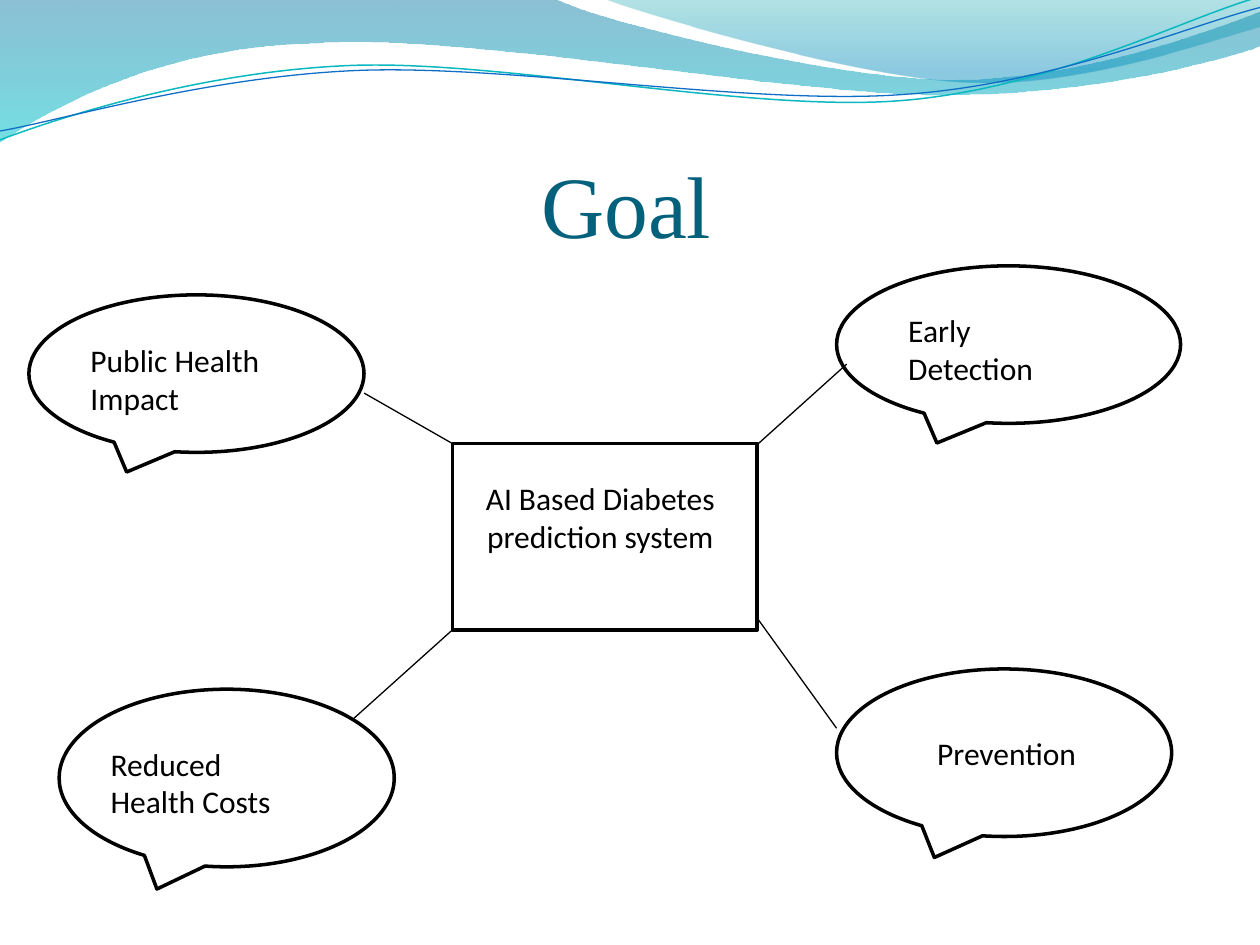
"""Builds the goal slide: a central system linked to four callouts under a wave banner."""
from dataclasses import dataclass
from math import cos, radians, sin
from typing import NamedTuple

from lxml.etree import SubElement
from pptx import Presentation
from pptx.dml.color import RGBColor
from pptx.enum.shapes import MSO_CONNECTOR, MSO_SHAPE
from pptx.enum.text import MSO_ANCHOR, MSO_AUTO_SIZE, PP_ALIGN
from pptx.oxml.ns import qn
from pptx.util import Emu, Inches, Pt

COLUMNS, ROWS = 10, 7.5
WAVE_TILT = 357.3

Point = tuple[float, float]
Segment = tuple[Point, ...]
BLACK, WHITE, TITLE_TEAL = "000000", "FFFFFF", "04617B"


class Box(NamedTuple):
    """A place on the grid, in columns and rows."""
    left: float
    top: float
    width: float
    height: float


class Stop(NamedTuple):
    """A gradient stop; position and opacity are shares of one."""
    position: float
    color: str
    opacity: float


@dataclass(frozen=True)
class Wave:
    """A banner outline: one point makes a line, three make a Bézier curve."""
    start: Point
    segments: tuple[Segment, ...]
    stops: tuple[Stop, ...] = ()
    stroke: str = ""
    weight: float = 0
    pivot: Point = (0, 0)


@dataclass(frozen=True)
class Goal:
    """A callout with its label and its link to the central system."""
    label: str
    callout: Box
    label_box: Box
    link_start: Point
    link_end: Point


WAVES = (
    Wave((0, 0), (((4.4, -0.01),), ((4.76, 0.17), (6.64, 0.63), (7.58, 0.63)),
                  ((8.53, 0.63), (9.58, 0.26), (10, 0.09)), ((10.01, 0.36),),
                  ((9.83, 0.44), (8.7, 0.76), (7.46, 0.75)),
                  ((6.22, 0.75), (3.82, 0.28), (2.57, 0.34)),
                  ((1.29, 0.36), (0.46, 0.83), (-0.01, 1.13)), ((0, 0),)),
         stops=(Stop(0, "0074A1", 0.45), Stop(1, "00C6CF", 0.55))),
    Wave((4.79, -0.01), (((5.09, 0.11), (6.82, 0.62), (7.69, 0.65)),
                         ((8.56, 0.69), (9.61, 0.32), (10, 0.21)),
                         ((10, 0),), ((4.79, -0.01),)),
         stops=(Stop(0, "00A1A9", 0.3), Stop(0.8, "008BBF", 0.45))),
    Wave((0, 1.11), (((0.48, 0.93), (1.58, 0.57), (2.77, 0.52)),
                     ((3.95, 0.47), (5.93, 0.89), (7.13, 0.8)),
                     ((8.33, 0.71), (9.38, 0.15), (9.98, -0.02))),
         stroke="0AB8BF", weight=0.85, pivot=(4.99, 0.58)),
    Wave((0, 1.04), (((0.47, 0.96), (1.64, 0.61), (2.83, 0.56)),
                     ((4.03, 0.51), (5.97, 0.84), (7.17, 0.75)),
                     ((8.36, 0.67), (9.41, 0.21), (10, 0.06))),
         stroke="0F6FC6", weight=0.75, pivot=(5, 0.59)),
)
TITLE_BOX = Box(0.47, 0.78, 9, 1.25)
SYSTEM_BOX = Box(3.59, 3.52, 2.42, 1.48)
SYSTEM_LABEL_BOX = Box(3.75, 3.75, 2.03, 1.01)
GOALS = (
    Goal("Early Detection", Box(6.64, 2.11, 2.73, 1.25),
         Box(7.11, 2.42, 1.56, 0.71), (6.02, 3.52), (6.72, 2.89)),
    Goal("Prevention", Box(6.64, 5.31, 2.66, 1.33),
         Box(7.34, 5.78, 1.33, 0.4), (6.02, 4.92), (6.64, 5.78)),
    Goal("Reduced Health Costs", Box(0.47, 5.47, 2.66, 1.41),
         Box(0.78, 5.86, 1.8, 0.71), (3.59, 5), (2.81, 5.7)),
    Goal("Public Health Impact", Box(0.23, 2.34, 2.66, 1.25),
         Box(0.62, 2.66, 1.8, 0.71), (3.59, 3.52), (2.89, 3.12)),
)


def rgb(color: str) -> RGBColor:
    """Turn a hex string into a colour."""
    return RGBColor.from_string(color)


def grid(*lengths: float) -> tuple[Emu, ...]:
    """Turn grid units, which are square, into slide lengths."""
    return tuple(Inches(length) for length in lengths)


def level(point: Point, pivot: Point) -> Point:
    """Undo the wave tilt of a point around a pivot."""
    turn = radians(-WAVE_TILT)
    across, down = point[0] - pivot[0], point[1] - pivot[1]
    return (pivot[0] + across * cos(turn) - down * sin(turn),
            pivot[1] + across * sin(turn) + down * cos(turn))


def bend(shape, segments: tuple[Segment, ...]) -> None:
    """Join the straight steps of each three-point segment into one curve."""
    steps = iter(list(shape._element.iter(qn("a:lnTo"))))
    for segment in segments:
        parts = [next(steps) for _ in segment]
        if len(parts) == 3:
            outline = parts[0].getparent()
            curve = SubElement(outline, qn("a:cubicBezTo"))
            outline.replace(parts[0], curve)
            for part in parts:
                curve.append(part[0])
            for part in parts[1:]:
                outline.remove(part)


def draw_wave(slide, wave: Wave) -> None:
    """Draw a filled wave, or a stroked and tilted one."""
    points = [wave.start, *(point for segment in wave.segments for point in segment)]
    if wave.stroke:
        points = [level(point, wave.pivot) for point in points]
    builder = slide.shapes.build_freeform(*grid(*points[0]))
    builder.add_line_segments([grid(*point) for point in points[1:]], close=bool(wave.stops))
    shape = builder.convert_to_shape()
    bend(shape, wave.segments)
    shape.shadow.inherit = False
    if wave.stroke:
        shape.rotation = WAVE_TILT
        shape.fill.background()
        shape.line.color.rgb = rgb(wave.stroke)
        shape.line.width = Pt(wave.weight)
        return
    shape.line.fill.background()
    shape.fill.gradient()
    shape.fill.gradient_angle = 270
    for gradient_stop, stop in zip(shape.fill.gradient_stops, wave.stops):
        gradient_stop.position = stop.position
        gradient_stop.color.rgb = rgb(stop.color)
    for element, stop in zip(shape._element.spPr.iter(qn("a:srgbClr")), wave.stops):
        SubElement(element, qn("a:alpha"), val=str(round(stop.opacity * 100000)))


def draw_outline(slide, kind: MSO_SHAPE, box: Box, fill: str = "") -> None:
    """Draw a black-outlined shape, filled when a fill is given."""
    shape = slide.shapes.add_shape(kind, *grid(*box))
    shape.shadow.inherit = False
    shape.line.color.rgb = rgb(BLACK)
    shape.line.width = Pt(2)
    if fill:
        shape.fill.solid()
        shape.fill.fore_color.rgb = rgb(fill)
    else:
        shape.fill.background()


def format_text(frame, font: str, size: float, color: str, align: PP_ALIGN) -> None:
    """Format the only paragraph of a text frame."""
    paragraph = frame.paragraphs[0]
    paragraph.alignment = align
    letters = paragraph.runs[0].font
    letters.name, letters.size, letters.color.rgb = font, Pt(size), rgb(color)


def draw_label(slide, text: str, box: Box, align: PP_ALIGN = PP_ALIGN.LEFT) -> None:
    """Write a wrapped label."""
    frame = slide.shapes.add_textbox(*grid(*box)).text_frame
    frame.word_wrap = True
    frame.auto_size = MSO_AUTO_SIZE.SHAPE_TO_FIT_TEXT
    frame.text = text
    format_text(frame, "Calibri", 18, BLACK, align)


def draw_link(slide, start: Point, end: Point) -> None:
    """Draw a thin line between two grid points."""
    link = slide.shapes.add_connector(MSO_CONNECTOR.STRAIGHT, *grid(*start, *end))
    link.line.color.rgb = rgb(BLACK)
    link.line.width = Pt(0.75)
    SubElement(link._element.spPr, qn("a:effectLst"))


def set_title(slide, text: str) -> None:
    """Place and format the title."""
    title = slide.shapes.title
    title.left, title.top, title.width, title.height = grid(*TITLE_BOX)
    frame = title.text_frame
    frame.text = text
    frame.vertical_anchor = MSO_ANCHOR.BOTTOM
    frame.margin_left = frame.margin_right = frame.margin_bottom = 0
    format_text(frame, "Times New Roman", 50, TITLE_TEAL, PP_ALIGN.CENTER)


def main() -> None:
    """Build and save the slide."""
    deck = Presentation()
    deck.slide_width, deck.slide_height = grid(COLUMNS, ROWS)
    slide = deck.slides.add_slide(deck.slide_layouts[5])
    for wave in WAVES:
        draw_wave(slide, wave)
    set_title(slide, "Goal")
    draw_outline(slide, MSO_SHAPE.RECTANGLE, SYSTEM_BOX, WHITE)
    draw_label(slide, "AI Based Diabetes prediction system", SYSTEM_LABEL_BOX, PP_ALIGN.CENTER)
    for goal in GOALS:
        draw_link(slide, goal.link_start, goal.link_end)
        draw_outline(slide, MSO_SHAPE.OVAL_CALLOUT, goal.callout)
    for goal in GOALS:
        draw_label(slide, goal.label, goal.label_box)
    deck.save("out.pptx")


if __name__ == "__main__":
    main()
